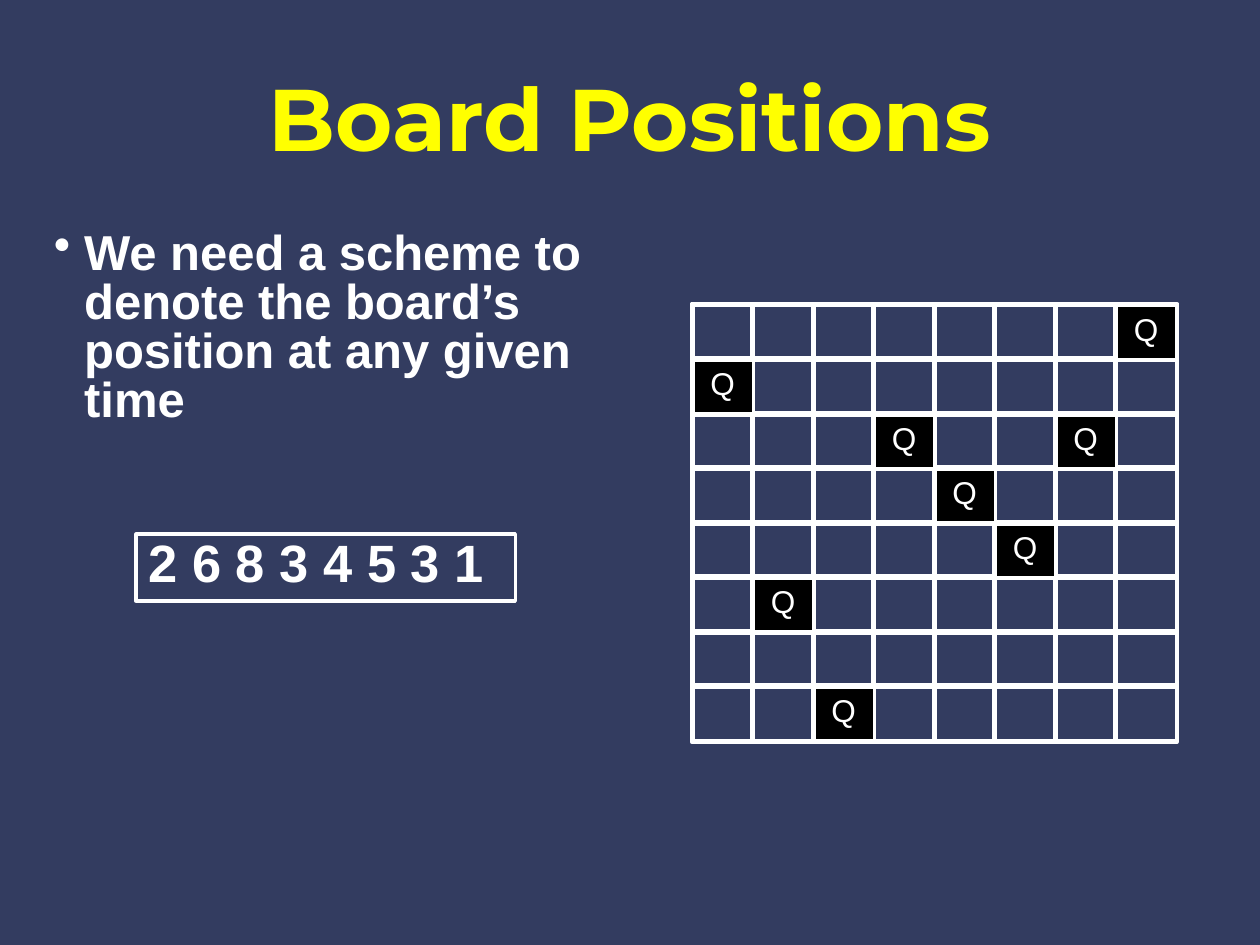
from lxml import etree
from pptx import Presentation
from pptx.dml.color import RGBColor
from pptx.enum.shapes import MSO_CONNECTOR, MSO_SHAPE
from pptx.enum.text import MSO_ANCHOR, PP_ALIGN
from pptx.oxml.ns import qn
from pptx.util import Inches, Pt

RECTANGLE = MSO_SHAPE.RECTANGLE
STRAIGHT = MSO_CONNECTOR.STRAIGHT
TOP, MIDDLE = MSO_ANCHOR.TOP, MSO_ANCHOR.MIDDLE
LEFT, CENTER = PP_ALIGN.LEFT, PP_ALIGN.CENTER

TITLE = "Board Positions"
POINT = "We need a scheme to denote the board’s position at any given time"
QUEEN = "Q"
QUEEN_ROWS = (2, 6, 8, 3, 4, 5, 3, 1)

COLORS = {"background": "333C60", "title": "FFFF00", "light": "FFFFFF", "queen": "000000"}
SLIDE_W, SLIDE_H = 10, 7.5
SIZE = len(QUEEN_ROWS)
BOARD_LEFT, BOARD_TOP, BOARD_W, BOARD_H = 5.5, 2.42, 3.84, 3.46
COLUMN, ROW = BOARD_W / SIZE, BOARD_H / SIZE
OVERLAP = 0.01
BULLET_INDENT = 0.24


def color(name):
    return RGBColor.from_string(COLORS[name])


def write(shape, text, *, size, font="Arial", ink="light", bold=False, align=LEFT,
          anchor=TOP, spacing=1, before=0, bullet=None):
    frame = shape.text_frame
    frame.word_wrap = True
    frame.vertical_anchor = anchor
    paragraph = frame.paragraphs[0]
    paragraph.alignment = align
    paragraph.line_spacing = spacing
    paragraph.space_before = Pt(before)
    run = paragraph.add_run()
    run.text = text
    run.font.size, run.font.name, run.font.bold = Pt(size), font, bold
    run.font.color.rgb = color(ink)
    if bullet:
        properties = paragraph._p.get_or_add_pPr()
        properties.set("marL", str(Inches(BULLET_INDENT)))
        properties.set("indent", str(-Inches(BULLET_INDENT)))
        etree.SubElement(properties, qn("a:buChar"), char=bullet)


def text_box(slide, left, top, width, height):
    return slide.shapes.add_textbox(*map(Inches, (left, top, width, height)))


def box(slide, left, top, width, height, fill=None):
    shape = slide.shapes.add_shape(RECTANGLE, *map(Inches, (left, top, width, height)))
    shape.shadow.inherit = False
    if fill:
        shape.fill.solid()
        shape.fill.fore_color.rgb = color(fill)
    else:
        shape.fill.background()
    shape.line.color.rgb = color("light")
    shape.line.width = Pt(2)
    return shape


def rule(slide, *ends):
    line = slide.shapes.add_connector(STRAIGHT, *map(Inches, ends))
    line.line.color.rgb = color("light")
    line.line.width = Pt(2)
    etree.SubElement(line._element.spPr, qn("a:effectLst"))


def draw_board(slide):
    for row in reversed(range(SIZE)):
        for column in reversed(range(SIZE)):
            has_queen = QUEEN_ROWS[column] == row + 1
            square = box(slide, BOARD_LEFT - OVERLAP + column * COLUMN,
                         BOARD_TOP - OVERLAP + row * ROW,
                         COLUMN + OVERLAP, ROW + 2 * OVERLAP,
                         "queen" if has_queen else None)
            if has_queen:
                write(square, QUEEN, size=18, align=CENTER)
    right, bottom = BOARD_LEFT + BOARD_W, BOARD_TOP + BOARD_H
    for step in range(SIZE + 1):
        x, y = BOARD_LEFT + step * COLUMN, BOARD_TOP + step * ROW
        rule(slide, BOARD_LEFT, y, right, y)
        rule(slide, x, BOARD_TOP, x, bottom)


def main():
    deck = Presentation()
    deck.slide_width, deck.slide_height = Inches(SLIDE_W), Inches(SLIDE_H)
    slide = deck.slides.add_slide(deck.slide_layouts[6])
    slide.background.fill.solid()
    slide.background.fill.fore_color.rgb = color("background")

    write(text_box(slide, 0.5, 0.3, 9, 1.25), TITLE, size=50, font="Montserrat",
          ink="title", bold=True, align=CENTER, anchor=MIDDLE)
    draw_board(slide)
    write(text_box(slide, 0.33, 1.81, 4.83, 1.61), POINT, size=28, bold=True,
          anchor=MIDDLE, spacing=0.83, before=2.5, bullet="•")
    write(box(slide, 1.08, 4.24, 3.01, 0.53), " ".join(map(str, QUEEN_ROWS)),
          size=30, bold=True, spacing=0.83, before=2.5)
    deck.save("out.pptx")


if __name__ == "__main__":
    main()
